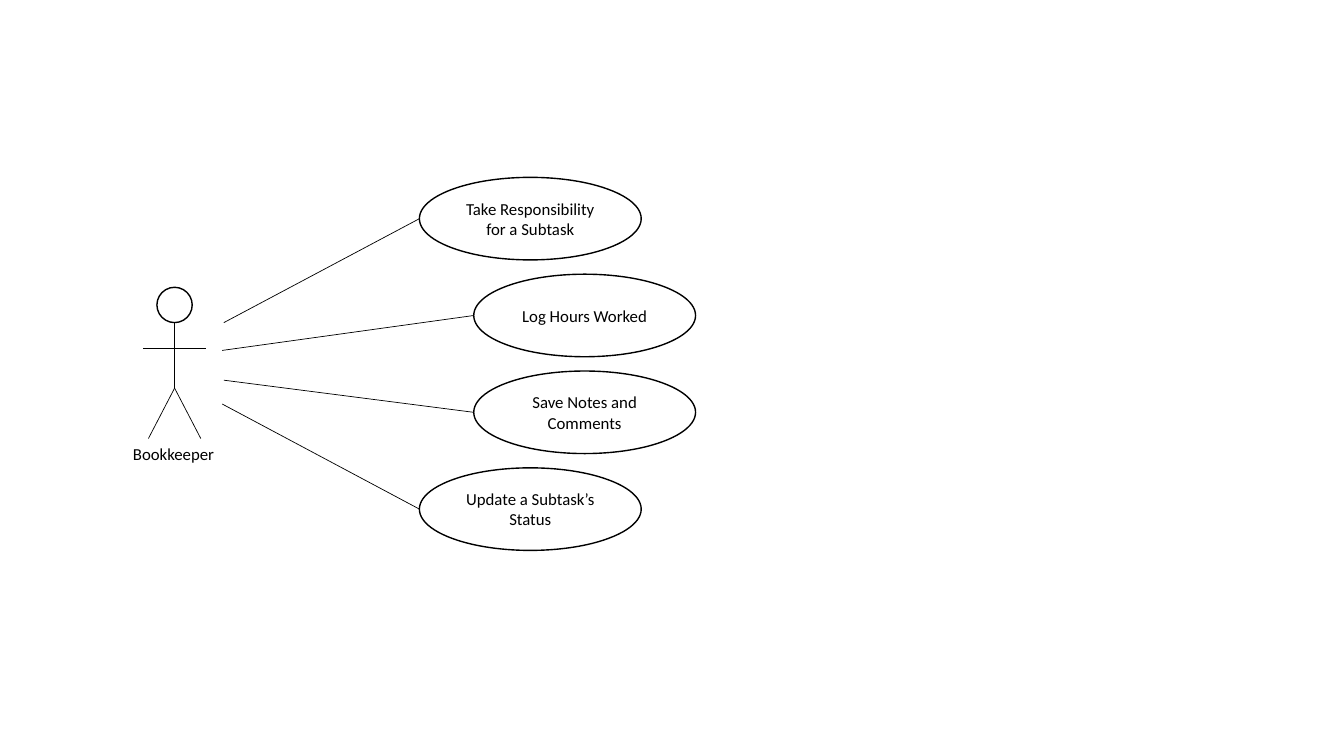
import pptx
import pptx.util
import pptx.dml.color
import pptx.enum.shapes
import pptx.enum.text
import lxml.etree

Cm = pptx.util.Cm
Pt = pptx.util.Pt
BLACK = "000000"
DRAWING = "http://schemas.openxmlformats.org/drawingml/2006/main"


def color(hex_string):
    return pptx.dml.color.RGBColor.from_string(hex_string)


def add_line(slide, x1, y1, x2, y2):
    connector = slide.shapes.add_connector(
        pptx.enum.shapes.MSO_CONNECTOR.STRAIGHT, Cm(x1), Cm(y1), Cm(x2), Cm(y2))
    connector.line.color.rgb = color(BLACK)
    connector.line.width = Pt(0.5)
    properties = connector.element.spPr
    lxml.etree.SubElement(properties, f"{{{DRAWING}}}effectLst")


def add_ellipse(slide, left, top, width, height):
    shape = slide.shapes.add_shape(
        pptx.enum.shapes.MSO_SHAPE.OVAL, Cm(left), Cm(top), Cm(width), Cm(height))
    shape.shadow.inherit = False
    shape.fill.background()
    shape.line.color.rgb = color(BLACK)
    shape.line.width = Pt(1)
    return shape


def write_text(shape, text, alignment):
    paragraph = shape.text_frame.paragraphs[0]
    paragraph.text = text
    paragraph.alignment = alignment
    paragraph.font.name = "Calibri"
    paragraph.font.size = Pt(12)
    paragraph.font.color.rgb = color(BLACK)


def add_actor(slide, name, left, top, width, height):
    """Stick figure with its name along the bottom of the box."""
    center = left + width / 2 - 0.01
    head, label_height = 0.89, 0.76
    arms, hip, feet = top + 1.53, top + 2.54, top + height - label_height

    # Head, trunk, legs and arms
    add_ellipse(slide, center - head / 2, top, head, head)
    add_line(slide, center, top + head, center, hip)
    for side in (-1, 1):
        add_line(slide, center, hip, center + side * 0.66, feet)
    add_line(slide, center - 0.79, arms, center + 0.79, arms)

    # Name
    label = slide.shapes.add_textbox(Cm(left), Cm(feet), Cm(width), Cm(label_height))
    label.text_frame.word_wrap = False
    label.text_frame.auto_size = pptx.enum.text.MSO_AUTO_SIZE.SHAPE_TO_FIT_TEXT
    write_text(label, name, pptx.enum.text.PP_ALIGN.LEFT)


def add_use_cases(slide, use_cases, left, top, width, height):
    """Evenly stacked ellipses, each joined to its line start on the actor's side."""
    indent, ellipse_height = 1.37, 2.08
    ellipse_width = width - indent
    pitch = (height - ellipse_height) / (len(use_cases) - 1)
    for index, (text, indented, start_x, start_y) in enumerate(use_cases):
        x = left + indent * indented
        y = top + index * pitch
        ellipse = add_ellipse(slide, x, y, ellipse_width, ellipse_height)
        ellipse.text_frame.vertical_anchor = pptx.enum.text.MSO_ANCHOR.MIDDLE
        write_text(ellipse, text, pptx.enum.text.PP_ALIGN.CENTER)
        add_line(slide, start_x, start_y, x, y + ellipse_height / 2)


presentation = pptx.Presentation()
presentation.slide_width = Cm(33.87)
presentation.slide_height = Cm(19.05)
slide = presentation.slides.add_slide(presentation.slide_layouts[6])

add_actor(slide, "Bookkeeper", 3.1, 7.24, 2.62, 4.57)

# Text, whether indented, and where its line starts
USE_CASES = [
    ("Take Responsibility for a Subtask", False, 5.64, 8.13),
    ("Log Hours Worked", True, 5.6, 8.83),
    ("Save Notes and Comments", True, 5.64, 9.58),
    ("Update a Subtask’s Status", False, 5.6, 10.18),
]
add_use_cases(slide, USE_CASES, 10.57, 4.47, 6.96, 9.4)

presentation.save("out.pptx")
